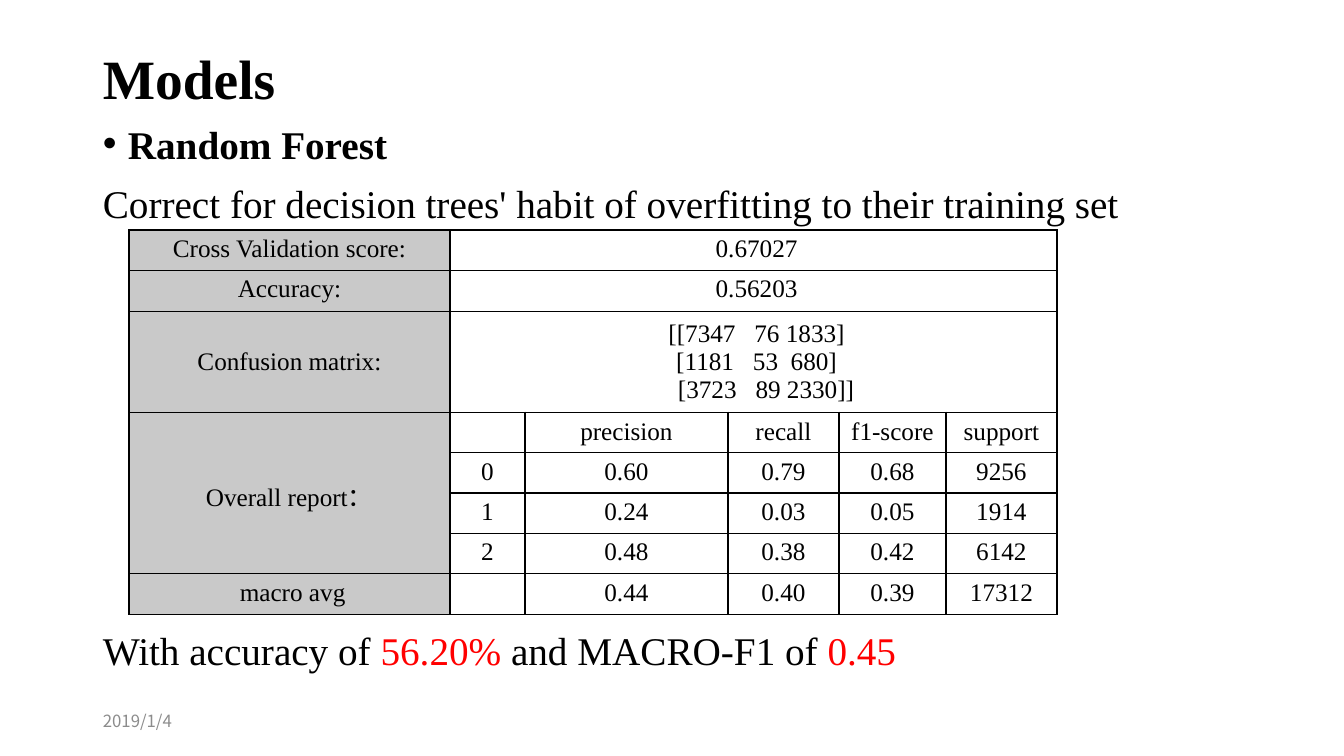
"""Build the Random Forest results slide."""
from lxml.etree import SubElement
from pptx import Presentation
from pptx.dml.color import RGBColor
from pptx.enum.text import MSO_ANCHOR, PP_ALIGN
from pptx.oxml.ns import qn
from pptx.util import Pt

PX = 914400 / 100.8
BLACK = RGBColor(0x00, 0x00, 0x00)
RED = RGBColor(0xFF, 0x00, 0x00)
GREY = RGBColor(0x8C, 0x8C, 0x8C)
LABEL_FILL = RGBColor(0xC9, 0xC9, 0xC9)
SERIF = "Times New Roman"


def px(length):
    return round(length * PX)


def add_span(para, text, size, color=BLACK, bold=False, font=SERIF):
    span = para.add_run()
    span.text = text
    span.font.size = Pt(size)
    span.font.name = font
    span.font.bold = bold
    span.font.color.rgb = color


deck = Presentation()
deck.slide_width, deck.slide_height = px(1344), px(756)
page = deck.slides.add_slide(deck.slide_layouts[6])

text_blocks = [
    (40, 1159, 75, MSO_ANCHOR.MIDDLE, [[("Models", 39.6, BLACK, True, SERIF)]]),
    (115, 1159, 115, MSO_ANCHOR.TOP, [
        [("Random Forest", 28, BLACK, True, SERIF)],
        [("Correct for decision trees' habit of\u00a0overfitting\u00a0to their\u00a0training set".replace("\u00a0", " "),
          28, BLACK, False, SERIF)],
    ]),
    (621, 1159, 60, MSO_ANCHOR.TOP, [[
        ("With accuracy of ", 28, BLACK, False, SERIF),
        ("56.20% ", 28, RED, False, SERIF),
        ("and MACRO-F1 of ", 28, BLACK, False, SERIF),
        ("0.45", 28, RED, False, SERIF),
    ]]),
    (701, 302, 40, MSO_ANCHOR.MIDDLE, [[("2019/1/4", 12, GREY, False, "Noto Sans CJK SC")]]),
]
boxes = []
for top, width, height, anchor, paragraphs in text_blocks:
    box = page.shapes.add_textbox(px(93), px(top), px(width), px(height))
    frame = box.text_frame
    frame.word_wrap = True
    frame.vertical_anchor = anchor
    for index, spans in enumerate(paragraphs):
        para = frame.add_paragraph() if index else frame.paragraphs[0]
        if index:
            para.space_before = Pt(9)
        for span in spans:
            add_span(para, *span)
    boxes.append(box)

model_properties = boxes[1].text_frame.paragraphs[0]._p.get_or_add_pPr()
model_properties.set("marL", str(px(25)))
model_properties.set("indent", str(-px(25)))
SubElement(model_properties, qn("a:buFont"), typeface="Arial")
SubElement(model_properties, qn("a:buChar"), char="•")

column_widths = [321, 75, 203, 111, 107, 111]
row_heights = [40, 41, 94, 38, 38, 38, 38, 41]
matrix = " [[7347   76 1833]\n [1181   53  680]\n [3723   89 2330]]"
rows = [
    ["Cross Validation score:", " 0.67027", "", "", "", ""],
    ["Accuracy:", " 0.56203", "", "", "", ""],
    ["Confusion matrix:", matrix, "", "", "", ""],
    ["Overall report：", "", "precision", "recall", "f1-score", "support"],
    ["", "0", "0.60", "0.79", "0.68", "9256"],
    ["", "1", "0.24", "0.03", "0.05", "1914"],
    ["", "2", "0.48", "0.38", "0.42", "6142"],
    [" macro avg", "", "0.44", "0.40", "0.39", "17312"],
]
table = page.shapes.add_table(
    len(rows), len(column_widths), px(129), px(230), px(sum(column_widths)), px(sum(row_heights))
).table
table.first_row = False
table.horz_banding = False
for column, width in zip(table.columns, column_widths):
    column.width = px(width)
for row, height in zip(table.rows, row_heights):
    row.height = px(height)
for row_index in range(3):
    table.cell(row_index, 1).merge(table.cell(row_index, 5))
table.cell(3, 0).merge(table.cell(6, 0))

for row_index, texts in enumerate(rows):
    for column_index, text in enumerate(texts):
        cell = table.cell(row_index, column_index)
        cell_properties = cell._tc.get_or_add_tcPr()
        for side in ("a:lnL", "a:lnR", "a:lnT", "a:lnB"):
            border = SubElement(cell_properties, qn(side), w=str(Pt(1)))
            border_fill = SubElement(border, qn("a:solidFill"))
            SubElement(border_fill, qn("a:srgbClr"), val=str(BLACK))
        if column_index == 0:
            cell.fill.solid()
            cell.fill.fore_color.rgb = LABEL_FILL
        else:
            cell.fill.background()
        cell.vertical_anchor = MSO_ANCHOR.MIDDLE if row_index in (2, 3) else MSO_ANCHOR.TOP
        for line_index, line in enumerate(text.split("\n")):
            para = cell.text_frame.add_paragraph() if line_index else cell.text_frame.paragraphs[0]
            para.alignment = PP_ALIGN.CENTER
            if line:
                add_span(para, line, 18)

table.cell(3, 0).margin_top = px(11)
last_matrix_line = table.cell(2, 1).text_frame.paragraphs[2]
last_matrix_line._p.get_or_add_pPr().set("marL", str(px(19)))

deck.save("out.pptx")
